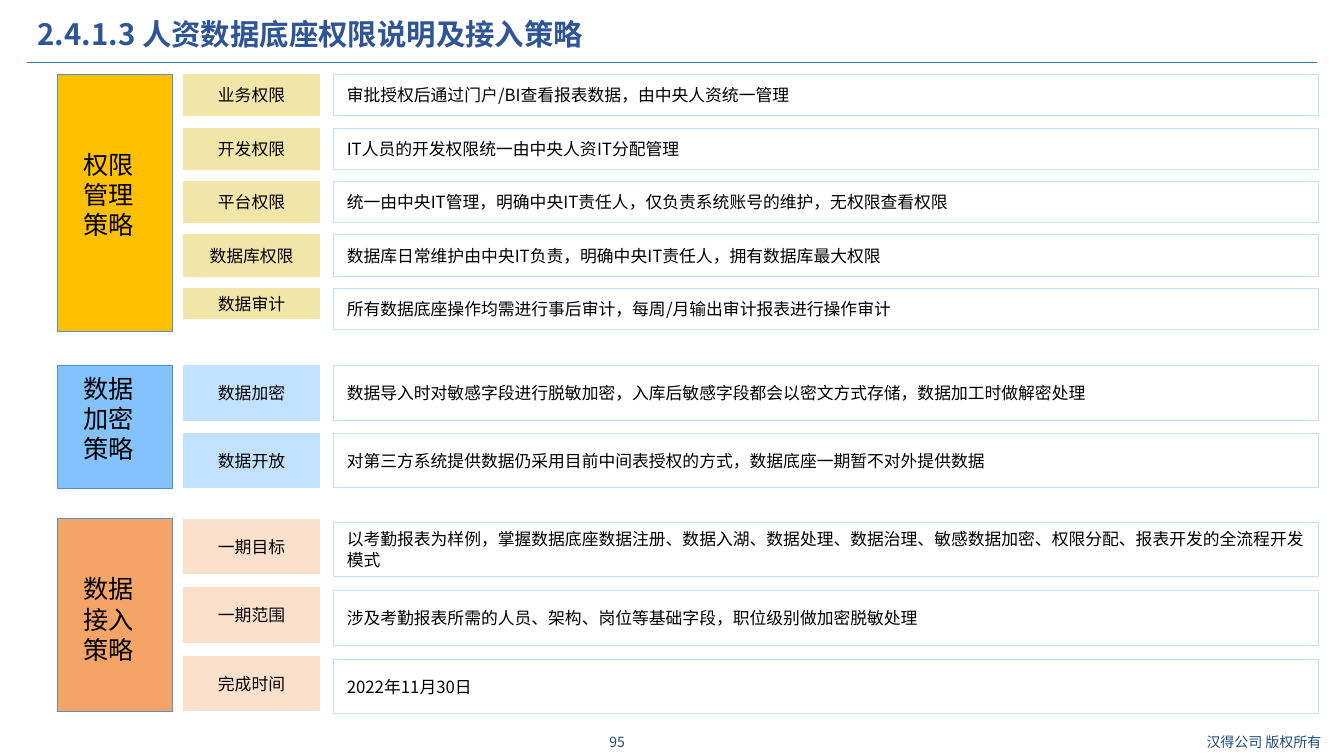
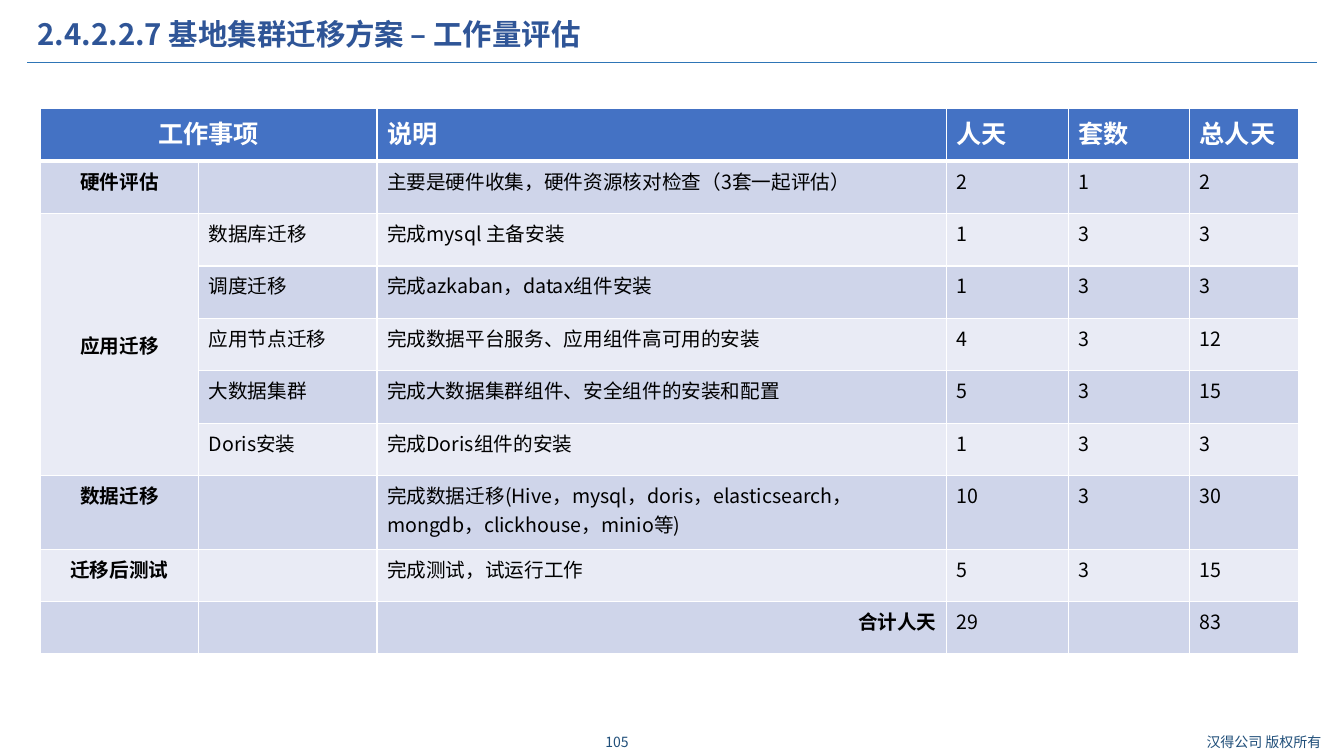
"""Build two slides: a data permission strategy and a migration workload table."""
from dataclasses import dataclass

from lxml.etree import SubElement
from pptx import Presentation
from pptx.dml.color import RGBColor
from pptx.enum.shapes import MSO_CONNECTOR, MSO_SHAPE
from pptx.enum.text import MSO_ANCHOR as Anchor, MSO_AUTO_SIZE, PP_ALIGN as Align
from pptx.oxml.ns import qn
from pptx.util import Inches, Pt


@dataclass(frozen=True)
class Theme:
    font: str = "Noto Sans CJK SC"
    title: str = "2F5597"
    rule: str = "2E75B6"
    footer: str = "1F4E79"
    ink: str = "000000"
    paper: str = "FFFFFF"
    group_line: str = "558ED5"
    detail_line: str = "C1E1FE"
    header: str = "4472C4"
    bands: tuple = ("CFD5EA", "E9EBF5")
    title_size: int = 21
    head_size: int = 18
    cell_size: int = 14
    body_size: int = 12
    footer_size: int = 10


THEME = Theme()
COPYRIGHT = "汉得公司 版权所有"
STRATEGY_TITLE = "2.4.1.3 人资数据底座权限说明及接入策略"
WORKLOAD_TITLE = "2.4.2.2.7 基地集群迁移方案 – 工作量评估"

GROUP_LEFT, GROUP_WIDTH = 0.57, 1.14
LABEL_LEFT, LABEL_WIDTH = 1.82, 1.35
DETAIL_LEFT, DETAIL_WIDTH = 3.31, 9.77

GROUPS = [
    dict(name="权限管理策略", top=0.74, height=2.55, name_drop=0.74,
         fill="FFC000", label_fill="F1E5A7",
         first=0.74, pitch=0.53, row_height=0.41, last_label=0.3, detail_drop=0,
         rows=[("业务权限", "审批授权后通过门户/BI查看报表数据，由中央人资统一管理"),
               ("开发权限", "IT人员的开发权限统一由中央人资IT分配管理"),
               ("平台权限", "统一由中央IT管理，明确中央IT责任人，仅负责系统账号的维护，无权限查看权限"),
               ("数据库权限", "数据库日常维护由中央IT负责，明确中央IT责任人，拥有数据库最大权限"),
               ("数据审计", "所有数据底座操作均需进行事后审计，每周/月输出审计报表进行操作审计")]),
    dict(name="数据加密策略", top=3.62, height=1.22, name_drop=0.08,
         fill="83C2FD", label_fill="C1E1FE",
         first=3.63, pitch=0.67, row_height=0.54, last_label=0.54, detail_drop=0,
         rows=[("数据加密", "数据导入时对敏感字段进行脱敏加密，入库后敏感字段都会以密文方式存储，数据加工时做解密处理"),
               ("数据开放", "对第三方系统提供数据仍采用目前中间表授权的方式，数据底座一期暂不对外提供数据")]),
    dict(name="数据接入策略", top=5.14, height=1.92, name_drop=0.55,
         fill="F4A467", label_fill="FBE1CC",
         first=5.15, pitch=0.68, row_height=0.54, last_label=0.54, detail_drop=0.03,
         rows=[("一期目标", "以考勤报表为样例，掌握数据底座数据注册、数据入湖、数据处理、数据治理、敏感数据加密、权限分配、报表开发的全流程开发模式"),
               ("一期范围", "涉及考勤报表所需的人员、架构、岗位等基础字段，职位级别做加密脱敏处理"),
               ("完成时间", "2022年11月30日")]),
]

COLUMN_WIDTHS = [1.57, 1.77, 5.65, 1.21, 1.2, 1.08]
ROW_HEIGHT, TALL_ROW_HEIGHT, TALL_ROW = 0.52, 0.73, 7
MERGES = [((0, 0), (0, 1)), ((2, 0), (6, 0))]
TOTAL_LABEL = "合计人天"
WORKLOAD = [
    ("工作事项", "", "说明", "人天", "套数", "总人天"),
    ("硬件评估", "", "主要是硬件收集，硬件资源核对检查（3套一起评估）", "2", "1", "2"),
    ("应用迁移", "数据库迁移", "完成mysql 主备安装", "1", "3", "3"),
    ("", "调度迁移", "完成azkaban，datax组件安装", "1", "3", "3"),
    ("", "应用节点迁移", "完成数据平台服务、应用组件高可用的安装", "4", "3", "12"),
    ("", "大数据集群", "完成大数据集群组件、安全组件的安装和配置", "5", "3", "15"),
    ("", "Doris安装", "完成Doris组件的安装", "1", "3", "3"),
    ("数据迁移", "", "完成数据迁移(Hive，mysql，doris，elasticsearch，mongdb，clickhouse，minio等)",
     "10", "3", "30"),
    ("迁移后测试", "", "完成测试，试运行工作", "5", "3", "15"),
    ("", "", TOTAL_LABEL, "29", "", "83"),
]


def rgb(value):
    return RGBColor.from_string(value)


def write(frame, text, size, color=THEME.ink, bold=False, align=Align.LEFT):
    frame.text = text
    para = frame.paragraphs[0]
    para.alignment = align
    font = para.font
    font.size, font.bold, font.name = Pt(size), bold, THEME.font
    font.color.rgb = rgb(color)
    defaults = para._p.get_or_add_pPr().find(qn("a:defRPr"))
    SubElement(defaults, qn("a:ea"), typeface=THEME.font)
    return para


def set_margins(frame, left=0.1, top=0.05, right=0.1, bottom=0.05):
    frame.margin_left, frame.margin_top = Inches(left), Inches(top)
    frame.margin_right, frame.margin_bottom = Inches(right), Inches(bottom)


def add_box(page, left, top, width, height, fill, line, line_width=0.75):
    box = page.shapes.add_shape(MSO_SHAPE.RECTANGLE, *map(Inches, (left, top, width, height)))
    box.shadow.inherit = False
    box.fill.solid()
    box.fill.fore_color.rgb = rgb(fill)
    box.line.color.rgb = rgb(line)
    box.line.width = Pt(line_width)
    box.text_frame.word_wrap = True
    box.text_frame.vertical_anchor = Anchor.MIDDLE
    return box


def add_footer(page, left, width, text):
    box = page.shapes.add_textbox(*map(Inches, (left, 7.23, width, 0.27)))
    box.text_frame.word_wrap = True
    box.text_frame.vertical_anchor = Anchor.MIDDLE
    write(box.text_frame, text, THEME.footer_size, THEME.footer, align=Align.CENTER)


def add_page(deck, title_text, number):
    page = deck.slides.add_slide(deck.slide_layouts[5])
    title = page.shapes.title
    title.left, title.top, title.width, title.height = map(Inches, (0.27, 0.15, 11.57, 0.42))
    frame = title.text_frame
    frame.word_wrap, frame.auto_size = True, MSO_AUTO_SIZE.NONE
    frame.vertical_anchor = Anchor.TOP
    para = write(frame, title_text, THEME.title_size, THEME.title, bold=True)
    para.line_spacing = 0.9
    rule = page.shapes.add_connector(MSO_CONNECTOR.STRAIGHT,
                                     *map(Inches, (0.27, 0.62, 13.06, 0.62)))
    rule.line.color.rgb = rgb(THEME.rule)
    rule.line.width = Pt(0.75)
    SubElement(rule._element.spPr, qn("a:effectLst"))
    add_footer(page, 5.77, 0.7, number)
    add_footer(page, 11.74, 1.59, COPYRIGHT)
    return page


def add_group(page, group):
    panel = add_box(page, GROUP_LEFT, group["top"], GROUP_WIDTH, group["height"],
                    group["fill"], THEME.group_line, 0.25)
    panel.text_frame.vertical_anchor = Anchor.TOP
    set_margins(panel.text_frame, left=0.26, top=group["name_drop"], right=0.2)
    write(panel.text_frame, group["name"], THEME.head_size)
    last = len(group["rows"]) - 1
    for index, (name, text) in enumerate(group["rows"]):
        top = group["first"] + index * group["pitch"]
        label_height = group["last_label"] if index == last else group["row_height"]
        label = add_box(page, LABEL_LEFT, top, LABEL_WIDTH, label_height,
                        group["label_fill"], group["label_fill"])
        write(label.text_frame, name, THEME.body_size, align=Align.CENTER)
        detail = add_box(page, DETAIL_LEFT, top + group["detail_drop"], DETAIL_WIDTH,
                         group["row_height"], THEME.paper, THEME.detail_line)
        set_margins(detail.text_frame, left=0.13, right=0.05)
        write(detail.text_frame, text, THEME.body_size)


def set_borders(cell, bottom_width):
    properties = cell._tc.get_or_add_tcPr()
    for side, width in (("L", 1), ("R", 1), ("T", 1), ("B", bottom_width)):
        line = SubElement(properties, qn(f"a:ln{side}"), w=str(Pt(width)))
        fill = SubElement(line, qn("a:solidFill"))
        SubElement(fill, qn("a:srgbClr"), val=THEME.paper)


def add_workload_table(page):
    heights = [TALL_ROW_HEIGHT if row == TALL_ROW else ROW_HEIGHT for row in range(len(WORKLOAD))]
    table = page.shapes.add_table(
        len(WORKLOAD), len(COLUMN_WIDTHS),
        *map(Inches, (0.4, 1.08, sum(COLUMN_WIDTHS), sum(heights)))).table
    table.first_row = table.horz_banding = False
    for column, width in zip(table.columns, COLUMN_WIDTHS):
        column.width = Inches(width)
    for row, height in zip(table.rows, heights):
        row.height = Inches(height)
    for start, end in MERGES:
        table.cell(*start).merge(table.cell(*end))
    for row_index, values in enumerate(WORKLOAD):
        is_header = row_index == 0
        for column_index, text in enumerate(values):
            cell = table.cell(row_index, column_index)
            set_borders(cell, 3 if is_header else 1)
            cell.fill.solid()
            cell.fill.fore_color.rgb = rgb(
                THEME.header if is_header else THEME.bands[(row_index - 1) % 2])
            if not text:
                continue
            is_total = text == TOTAL_LABEL
            align = (Align.CENTER if column_index == 0
                     else Align.RIGHT if is_total else Align.LEFT)
            write(cell.text_frame, text,
                  THEME.head_size if is_header else THEME.cell_size,
                  THEME.paper if is_header else THEME.ink,
                  is_header or is_total or column_index == 0, align)
            if cell.is_merge_origin and cell.span_height > 1:
                cell.vertical_anchor = Anchor.MIDDLE


def main():
    deck = Presentation()
    deck.slide_width, deck.slide_height = Inches(13.33), Inches(7.5)
    strategy = add_page(deck, STRATEGY_TITLE, "95")
    for group in GROUPS:
        add_group(strategy, group)
    add_workload_table(add_page(deck, WORKLOAD_TITLE, "105"))
    deck.save("out.pptx")


if __name__ == "__main__":
    main()
